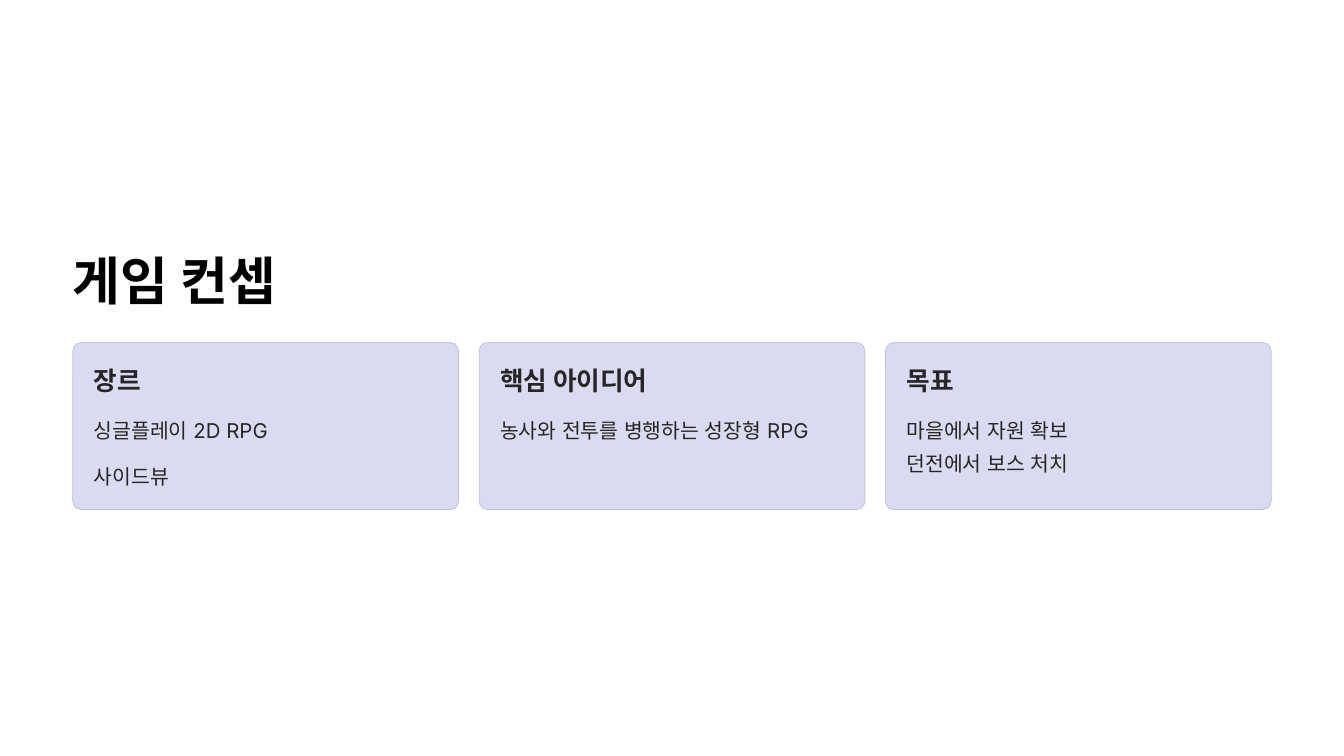
import pptx
import pptx.dml.color
import pptx.enum.shapes
import pptx.oxml.ns
import pptx.util
from lxml import etree
from pptx.util import Cm

TITLE = "게임 컨셉"
# Each card: heading, then text blocks, each a list of lines
CARDS = [
    ("장르", [["싱글플레이 2D RPG"], ["사이드뷰"]]),
    ("핵심 아이디어", [["농사와 전투를 병행하는 성장형 RPG"]]),
    ("목표", [["마을에서 자원 확보", "던전에서 보스 처치"]]),
]

FONT = "Inter"
COLORS = {"title": "000000", "text": "272525", "card": "DADBF1", "border": "C0C1D7"}
STYLES = {
    "title": {"size": 44.5, "bold": True, "color": "title", "spacing": 55.5},
    "heading": {"size": 22, "bold": True, "color": "text", "spacing": 27.5},
    "body": {"size": 17.5, "bold": False, "color": "text", "spacing": 28.5},
}

SLIDE_WIDTH, SLIDE_HEIGHT = Cm(40.64), Cm(22.86)
MARGIN = Cm(2.2)
TITLE_TOP, TITLE_WIDTH, TITLE_HEIGHT = Cm(7.44), Cm(15.75), Cm(1.98)
CARD_TOP, CARD_HEIGHT, CARD_GAP = Cm(10.36), Cm(5.05), Cm(0.62)
CARD_WIDTH = (SLIDE_WIDTH - 2 * MARGIN - (len(CARDS) - 1) * CARD_GAP) // len(CARDS)
PADDING = Cm(0.64)
HEADING_WIDTH, HEADING_HEIGHT = Cm(7.87), Cm(0.99)
BODY_OFFSET, BODY_PITCH, LINE_HEIGHT = Cm(2.01), Cm(1.4), Cm(1.01)


def rgb(name):
    return pptx.dml.color.RGBColor.from_string(COLORS[name])


def add_text(slide, lines, style_name, left, top, width, height, wrap=False):
    style = STYLES[style_name]
    frame = slide.shapes.add_textbox(left, top, width, height).text_frame
    frame_format = {"margin_left": 0, "margin_top": 0, "margin_right": 0,
                    "margin_bottom": 0, "word_wrap": wrap}
    for name, value in frame_format.items():
        setattr(frame, name, value)
    for index, line in enumerate(lines):
        paragraph = frame.add_paragraph() if index else frame.paragraphs[0]
        paragraph.line_spacing = pptx.util.Pt(style["spacing"])
        run = paragraph.add_run()
        run.text = line
        font_format = {"name": FONT, "size": pptx.util.Pt(style["size"]),
                       "bold": style["bold"]}
        for name, value in font_format.items():
            setattr(run.font, name, value)
        run.font.color.rgb = rgb(style["color"])
        # Korean letters take their font from the East Asian slot
        properties = run._r.get_or_add_rPr()
        etree.SubElement(properties, pptx.oxml.ns.qn("a:ea"), typeface=FONT)


def add_card(slide, left, heading, blocks):
    card = slide.shapes.add_shape(pptx.enum.shapes.MSO_SHAPE.ROUNDED_RECTANGLE,
                                  left, CARD_TOP, CARD_WIDTH, CARD_HEIGHT)
    card.adjustments[0] = 0.05
    card.shadow.inherit = False
    card.fill.solid()
    card.fill.fore_color.rgb = rgb("card")
    card.line.color.rgb = rgb("border")
    card.line.width = pptx.util.Pt(0.6)

    text_left = left + PADDING
    add_text(slide, [heading], "heading", text_left, CARD_TOP + PADDING,
             HEADING_WIDTH, HEADING_HEIGHT)
    single_block = len(blocks) == 1
    for index, lines in enumerate(blocks):
        add_text(slide, lines, "body", text_left,
                 CARD_TOP + BODY_OFFSET + index * BODY_PITCH,
                 CARD_WIDTH - 2 * PADDING,
                 LINE_HEIGHT * (2 if single_block else 1), wrap=single_block)


def main():
    presentation = pptx.Presentation()
    presentation.slide_width = SLIDE_WIDTH
    presentation.slide_height = SLIDE_HEIGHT
    slide = presentation.slides.add_slide(presentation.slide_layouts[6])
    add_text(slide, [TITLE], "title", MARGIN, TITLE_TOP, TITLE_WIDTH, TITLE_HEIGHT)
    for index, (heading, blocks) in enumerate(CARDS):
        add_card(slide, MARGIN + index * (CARD_WIDTH + CARD_GAP), heading, blocks)
    presentation.save("out.pptx")


if __name__ == "__main__":
    main()
